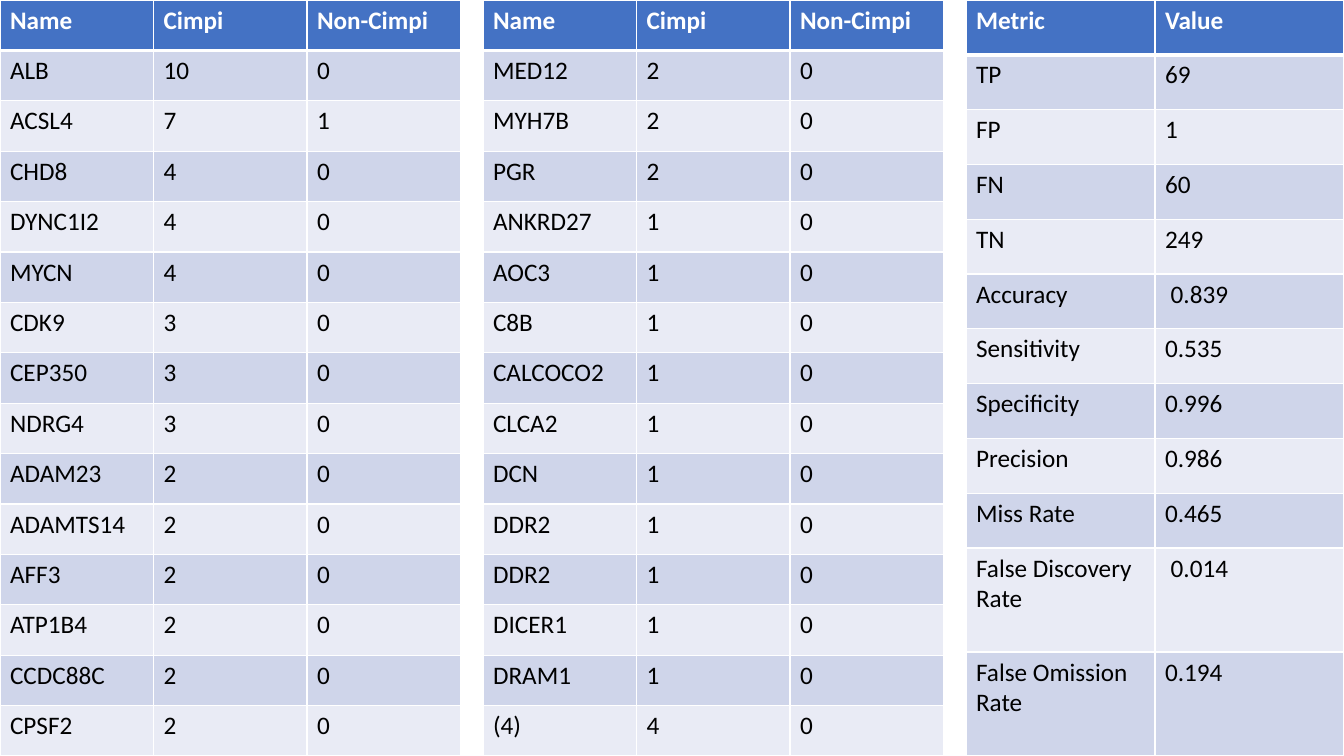
from lxml import etree
from pptx import Presentation
from pptx import util as u
from pptx.dml import color
from pptx.oxml import ns

COLORS = {
    "header": "4472C4",
    "band_dark": "CFD5EA",
    "band_light": "E9EBF5",
    "white": "FFFFFF",
    "black": "000000",
}

GENE_HEADER = ("Name", "Cimpi", "Non-Cimpi")
FIRST_GENES = [
    ("ALB", 10, 0), ("ACSL4", 7, 1), ("CHD8", 4, 0), ("DYNC1I2", 4, 0),
    ("MYCN", 4, 0), ("CDK9", 3, 0), ("CEP350", 3, 0), ("NDRG4", 3, 0),
    ("ADAM23", 2, 0), ("ADAMTS14", 2, 0), ("AFF3", 2, 0), ("ATP1B4", 2, 0),
    ("CCDC88C", 2, 0), ("CPSF2", 2, 0),
]
SECOND_GENES = [
    ("MED12", 2, 0), ("MYH7B", 2, 0), ("PGR", 2, 0), ("ANKRD27", 1, 0),
    ("AOC3", 1, 0), ("C8B", 1, 0), ("CALCOCO2", 1, 0), ("CLCA2", 1, 0),
    ("DCN", 1, 0), ("DDR2", 1, 0), ("DDR2", 1, 0), ("DICER1", 1, 0),
    ("DRAM1", 1, 0), ("(4)", 4, 0),
]
METRICS = [
    ("Metric", "Value"), ("TP", 69), ("FP", 1), ("FN", 60), ("TN", 249),
    ("Accuracy", " 0.839"), ("Sensitivity", "0.535"), ("Specificity", "0.996"),
    ("Precision", "0.986"), ("Miss Rate", "0.465"),
    ("False Discovery\nRate", " 0.014"), ("False Omission\nRate", "0.194"),
]


class TableSlide:
    """Holds the shared table style and the slide being filled."""

    font_name = "Calibri"
    font_size = 18
    thin, thick = 1, 3

    def __init__(self, presentation):
        self.slide = presentation.slides.add_slide(presentation.slide_layouts[6])

    def add_table(self, left, width, rows, heights):
        column_count = len(rows[0])
        frame = self.slide.shapes.add_table(
            len(rows), column_count, u.Pt(left), 0, u.Pt(width), u.Pt(sum(heights)))
        table = frame.table
        for column in table.columns:
            column.width = u.Pt(width / column_count)
        for row_index, (values, height) in enumerate(zip(rows, heights)):
            table.rows[row_index].height = u.Pt(height)
            for column_index, value in enumerate(values):
                self.fill_cell(table.cell(row_index, column_index), value, row_index)

    def fill_cell(self, cell, value, row_index):
        is_header = row_index == 0
        self.add_border(cell, "L", self.thin)
        self.add_border(cell, "R", self.thin)
        self.add_border(cell, "T", self.thick if row_index == 1 else self.thin)
        self.add_border(cell, "B", self.thick if is_header else self.thin)
        band = "band_dark" if row_index % 2 else "band_light"
        cell.fill.solid()
        cell.fill.fore_color.rgb = self.color("header" if is_header else band)
        cell.text = str(value)
        for paragraph in cell.text_frame.paragraphs:
            paragraph.font.name = self.font_name
            paragraph.font.size = u.Pt(self.font_size)
            paragraph.font.bold = is_header
            paragraph.font.color.rgb = self.color("white" if is_header else "black")

    def add_border(self, cell, side, width):
        properties = cell._tc.get_or_add_tcPr()
        line = etree.SubElement(properties, ns.qn(f"a:ln{side}"), w=str(u.Pt(width)))
        fill = etree.SubElement(line, ns.qn("a:solidFill"))
        etree.SubElement(fill, ns.qn("a:srgbClr"), val=COLORS["white"])

    def color(self, name):
        return color.RGBColor.from_string(COLORS[name])


def main():
    presentation = Presentation()
    presentation.slide_width = u.Pt(960)
    presentation.slide_height = u.Pt(540)
    page = TableSlide(presentation)
    for left, genes in ((0, FIRST_GENES), (345, SECOND_GENES)):
        page.add_table(left, 329, [GENE_HEADER, *genes], [36] * 15)
    page.add_table(690, 270, METRICS, [39.15] * 10 + [74.25] * 2)
    presentation.save("out.pptx")


if __name__ == "__main__":
    main()
